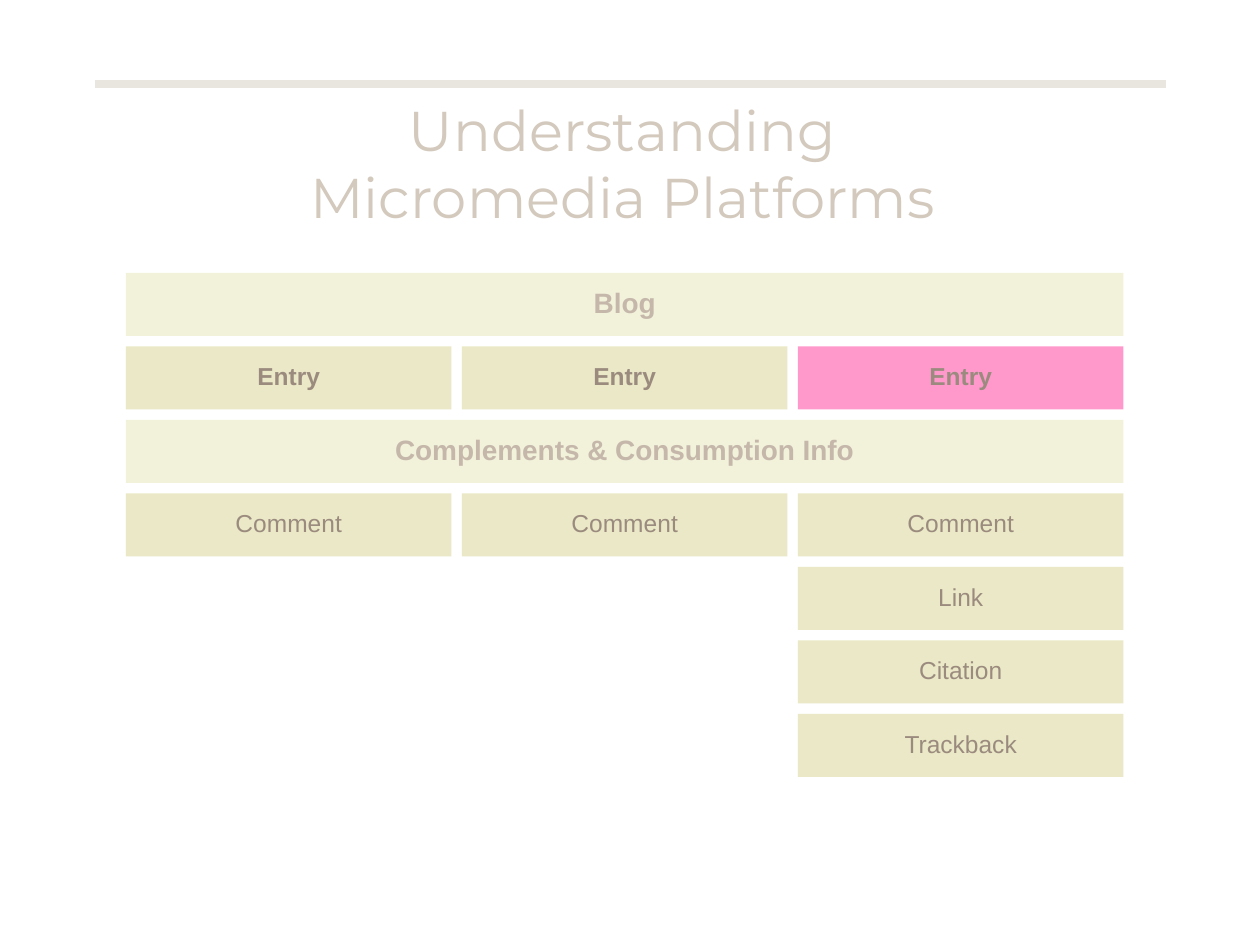
from dataclasses import dataclass

from lxml import etree
from pptx import Presentation
from pptx.dml.color import RGBColor
from pptx.enum.shapes import MSO_CONNECTOR, MSO_SHAPE
from pptx.enum.text import MSO_ANCHOR, MSO_AUTO_SIZE, PP_ALIGN
from pptx.oxml.ns import qn
from pptx.slide import Slide
from pptx.util import Emu, Pt

RECTANGLE = MSO_SHAPE.RECTANGLE
STRAIGHT = MSO_CONNECTOR.STRAIGHT
MIDDLE = MSO_ANCHOR.MIDDLE
CENTER = PP_ALIGN.CENTER
NO_AUTOFIT = MSO_AUTO_SIZE.NONE

WHITE = RGBColor(0xFF, 0xFF, 0xFF)
RULE = RGBColor(0xE9, 0xE5, 0xDF)
TITLE = RGBColor(0xD3, 0xC9, 0xBD)
BAND_FILL = RGBColor(0xF2, 0xF1, 0xDA)
BAND_TEXT = RGBColor(0xC5, 0xB8, 0xAB)
CELL_FILL = RGBColor(0xEA, 0xE8, 0xC6)
CELL_TEXT = RGBColor(0x9A, 0x8B, 0x7E)
PINK = RGBColor(0xFF, 0x99, 0xCC)

EMU_PER_PX = 9525
GRID_LEFT, GRID_TOP = 96, 208
CELL_W, CELL_H, GAP = 248, 48, 8


@dataclass(frozen=True)
class Style:
    text: RGBColor
    size: int
    bold: bool
    space_before: float


@dataclass(frozen=True)
class Block:
    label: str
    row: int
    col: int
    style: Style
    fill: RGBColor = CELL_FILL
    span: int = 1


BAND = Style(BAND_TEXT, 16, True, 4)
ENTRY = Style(CELL_TEXT, 14, True, 3.5)
REACTION = Style(CELL_TEXT, 14, False, 3.5)

BLOCKS = [
    Block("Blog", 0, 0, BAND, BAND_FILL, 3),
    *(Block("Entry", 1, col, ENTRY, fill)
      for col, fill in enumerate((CELL_FILL, CELL_FILL, PINK))),
    Block("Complements & Consumption Info", 2, 0, BAND, BAND_FILL, 3),
    *(Block("Comment", 3, col, REACTION) for col in range(3)),
    *(Block(label, row, 2, REACTION)
      for row, label in enumerate(("Link", "Citation", "Trackback"), start=4)),
]


def px(n: int) -> Emu:
    return Emu(n * EMU_PER_PX)


def set_attributes(target: object, values: dict[str, object]) -> None:
    for name, value in values.items():
        setattr(target, name, value)


def add_rule(s: Slide) -> None:
    line = s.shapes.add_connector(STRAIGHT, px(72), px(64), px(888), px(64))
    line.line.color.rgb = RULE
    line.line.width = Pt(4.5)
    etree.SubElement(line._element.spPr, qn("a:effectLst"))


def fill_title(s: Slide) -> None:
    title = s.shapes.title
    set_attributes(title, {"left": px(72), "top": px(64),
                           "width": px(816), "height": px(120)})
    tf = title.text_frame
    set_attributes(tf, {"auto_size": NO_AUTOFIT, "vertical_anchor": MIDDLE,
                        "word_wrap": True})
    p = tf.paragraphs[0]
    p.text = "Understanding \vMicromedia Platforms "
    p.alignment = CENTER
    for r in p.runs:
        set_attributes(r.font, {"name": "Montserrat", "size": Pt(32)})
        r.font.color.rgb = TITLE


def add_block(s: Slide, block: Block) -> None:
    sp = s.shapes.add_shape(
        RECTANGLE,
        px(GRID_LEFT + block.col * (CELL_W + GAP)),
        px(GRID_TOP + block.row * (CELL_H + GAP)),
        px(block.span * (CELL_W + GAP) - GAP),
        px(CELL_H),
    )
    sp.shadow.inherit = False
    sp.fill.solid()
    sp.fill.fore_color.rgb = block.fill
    sp.line.fill.background()

    style = block.style
    tf = sp.text_frame
    set_attributes(tf, {"word_wrap": False, "vertical_anchor": MIDDLE})
    p = tf.paragraphs[0]
    set_attributes(p, {"alignment": CENTER, "line_spacing": 0.9,
                       "space_before": Pt(style.space_before)})
    r = p.add_run()
    r.text = block.label
    set_attributes(r.font, {"name": "Arial", "size": Pt(style.size),
                            "bold": style.bold})
    r.font.color.rgb = style.text


def main() -> None:
    prs = Presentation()
    set_attributes(prs, {"slide_width": px(960), "slide_height": px(720)})
    s = prs.slides.add_slide(prs.slide_layouts.get_by_name("Title Only"))
    s.background.fill.solid()
    s.background.fill.fore_color.rgb = WHITE
    add_rule(s)
    fill_title(s)
    for block in BLOCKS:
        add_block(s, block)
    prs.save("out.pptx")


if __name__ == "__main__":
    main()
